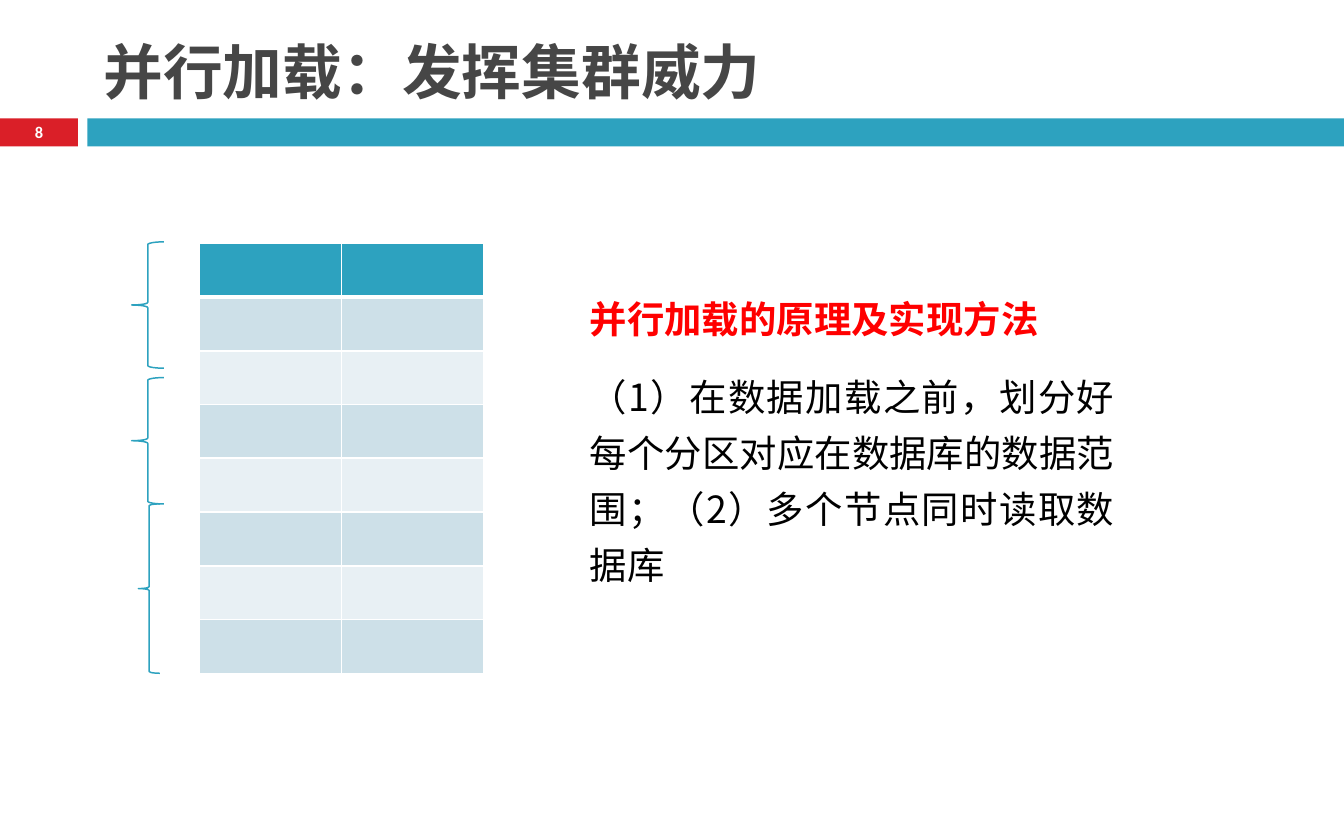
from lxml import etree
from pptx import Presentation, util as u
from pptx.dml.color import RGBColor
from pptx.enum import shapes as sh, text as tx
from pptx.oxml.ns import qn

TEAL, RED, WHITE = "2DA2BF", "DA1F28", "FFFFFF"
CJK = "Noto Sans CJK SC"


def paint(color_format, hex_string):
    color_format.rgb = RGBColor.from_string(hex_string)


def write(box, anchor, paragraphs):
    """Fill a text box from (wording, colour, font values, paragraph values)."""
    frame = box.text_frame
    frame.word_wrap = True
    frame.vertical_anchor = anchor
    for i, (wording, color, font_values, layout) in enumerate(paragraphs):
        line = frame.add_paragraph() if i else frame.paragraphs[0]
        run = line.add_run()
        run.text = wording
        paint(run.font.color, color)
        for name, value in font_values.items():
            setattr(run.font, name, value)
        for name, value in layout.items():
            setattr(line, name, value)
        east_asian = etree.SubElement(run.font._element, qn("a:ea"))
        east_asian.set("typeface", font_values["name"])


deck = Presentation()
deck.slide_width, deck.slide_height = u.Inches(10), u.Inches(6.25)
slide = deck.slides.add_slide(deck.slide_layouts[6])
parts = slide.shapes

# Band under the title: red number tab and teal bar
band_top, band_height = u.Inches(0.88), u.Inches(0.21)
tab_width, bar_left = u.Inches(0.58), u.Inches(0.65)
for left, width, color in ((0, tab_width, RED),
                           (bar_left, deck.slide_width - bar_left, TEAL)):
    band = parts.add_shape(sh.MSO_SHAPE.RECTANGLE, left, band_top, width, band_height)
    band.shadow.inherit = False
    band.fill.solid()
    paint(band.fill.fore_color, color)
    band.line.fill.background()

page_number = parts.add_textbox(0, band_top, tab_width, band_height)
for side in ("margin_top", "margin_bottom"):
    setattr(page_number.text_frame, side, 0)
write(page_number, tx.MSO_ANCHOR.MIDDLE, [
    ("8", WHITE, {"name": "Calibri", "size": u.Pt(8.8), "bold": True},
     {"alignment": tx.PP_ALIGN.CENTER})])

title = parts.add_textbox(u.Inches(0.67), u.Inches(0.14), u.Inches(8.92), u.Inches(0.7))
write(title, tx.MSO_ANCHOR.BOTTOM, [
    ("并行加载：发挥集群威力", "464646",
     {"name": CJK, "size": u.Pt(32), "bold": True}, {})])

# Principle and method
body_font = {"name": CJK, "size": u.Pt(20)}
body_layout = {"alignment": tx.PP_ALIGN.JUSTIFY, "line_spacing": u.Pt(30),
               "space_after": u.Pt(12)}
method = parts.add_textbox(u.Inches(4.29), u.Inches(2.07), u.Inches(4.1), u.Inches(2.5))
write(method, tx.MSO_ANCHOR.TOP, [
    ("并行加载的原理及实现方法", "FF0000", {**body_font, "bold": True}, body_layout),
    ("（1）在数据加载之前，划分好每个分区对应在数据库的数据范围；（2）多个节点同时读取数据库",
     "000000", {**body_font, "bold": False}, body_layout)])

# Database table, split into partitions by the braces
ROWS, COLS = 8, 2
row_height, col_width = u.Inches(0.4), u.Inches(1.06)
database = parts.add_table(ROWS, COLS, u.Inches(1.48), u.Inches(1.81),
                           COLS * col_width, ROWS * row_height).table
for r in range(ROWS):
    database.rows[r].height = row_height
    fill = TEAL if r == 0 else "CDE0E8" if r % 2 else "E8F0F4"
    for c in range(COLS):
        cell = database.cell(r, c)
        cell.text_frame.paragraphs[0].font.size = u.Pt(12)
        cell.fill.solid()
        paint(cell.fill.fore_color, fill)
        edges = {"lnL": 1, "lnR": 1, "lnT": 3 if r == 1 else 1, "lnB": 3 if r == 0 else 1}
        for place, (edge, points) in enumerate(edges.items()):
            border = etree.Element(qn(f"a:{edge}"), w=str(u.Pt(points)))
            solid = etree.SubElement(border, qn("a:solidFill"))
            etree.SubElement(solid, qn("a:srgbClr"), val=WHITE)
            cell._tc.tcPr.insert(place, border)

for left, top, width, height in ((0.98, 1.8, 0.24, 0.94),
                                 (0.98, 2.81, 0.24, 0.94),
                                 (1.03, 3.75, 0.16, 1.26)):
    partition = parts.add_shape(sh.MSO_SHAPE.LEFT_BRACE, u.Inches(left), u.Inches(top),
                                u.Inches(width), u.Inches(height))
    partition.shadow.inherit = False
    partition.fill.background()
    paint(partition.line.color, TEAL)
    partition.line.width = u.Pt(0.79)

deck.save("out.pptx")
